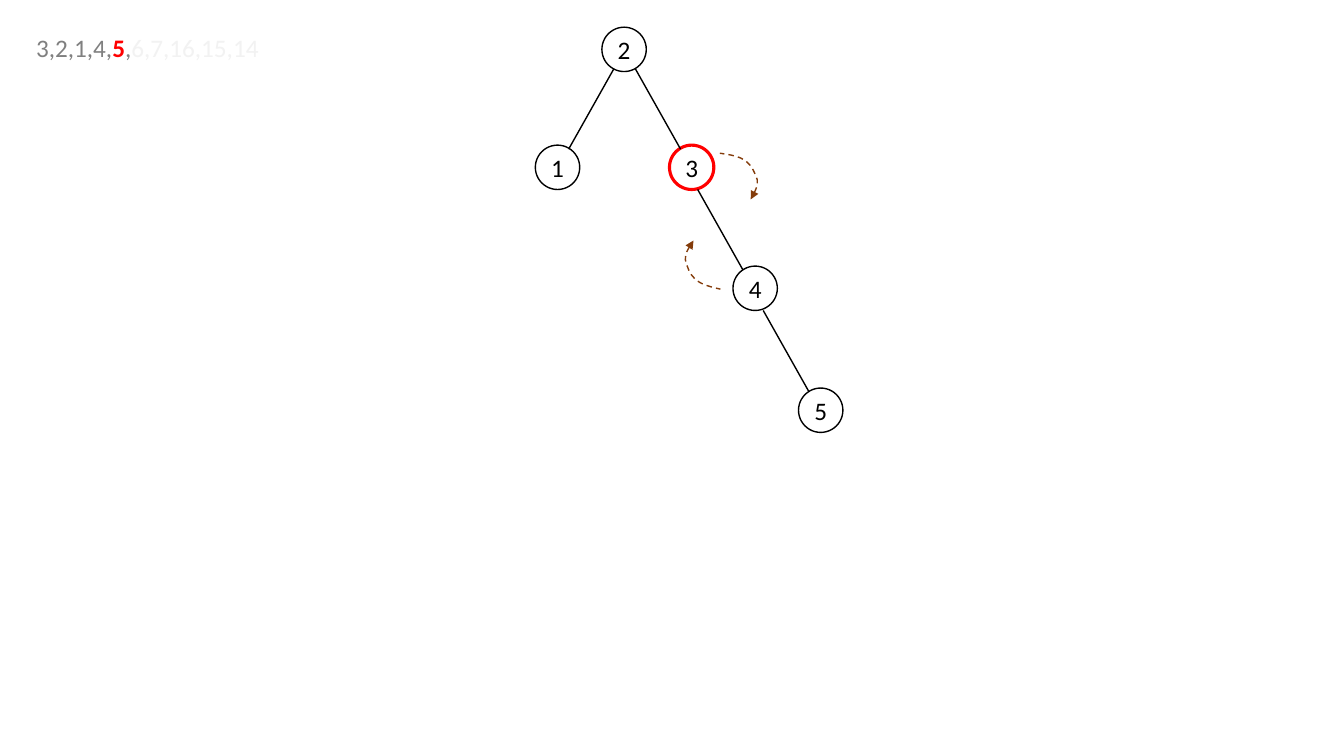
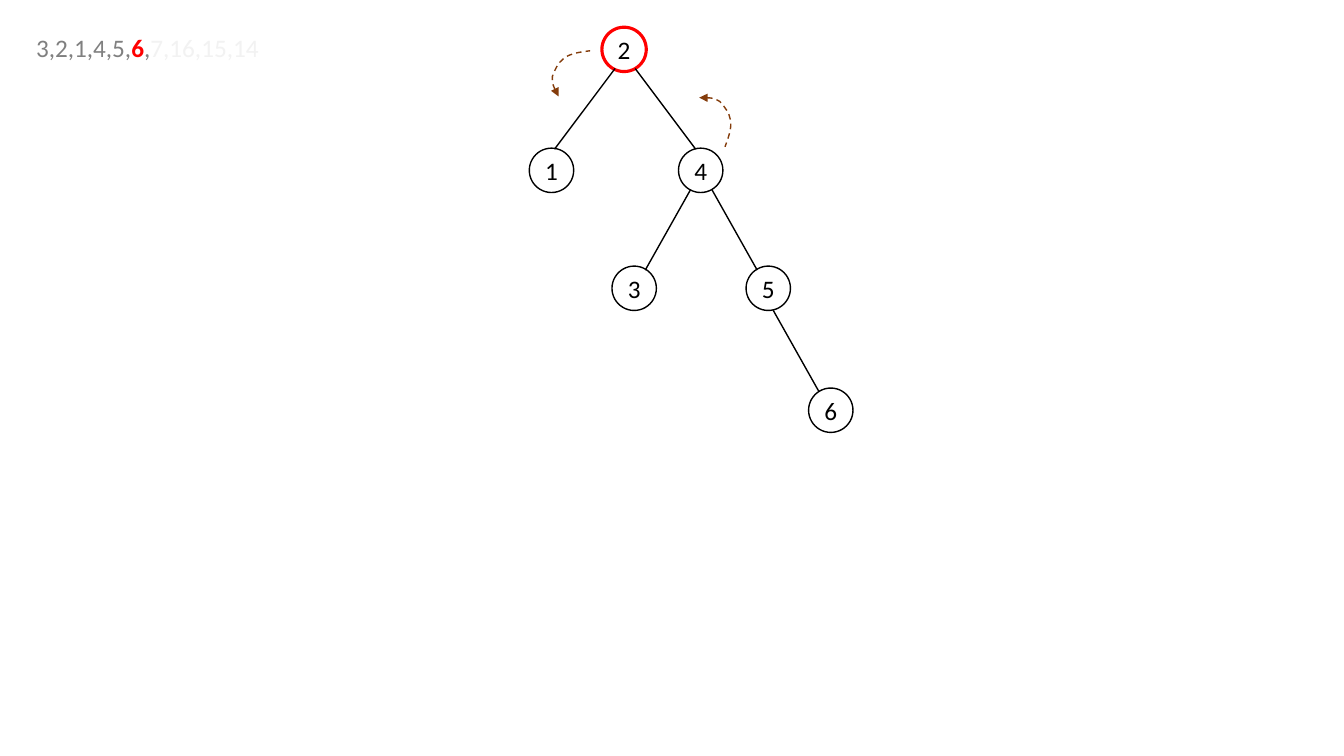
import pptx
import pptx.util
import pptx.dml.color
import pptx.enum.dml
import pptx.enum.shapes
import pptx.enum.text
import pptx.oxml.ns
import pptx.oxml.xmlchemy

inch = pptx.util.Inches
qn = pptx.oxml.ns.qn
make = pptx.oxml.xmlchemy.OxmlElement

WIDE, HIGH = 13.33, 7.5
FONT, SIZE = "Calibri", 18
INK, PAPER, RED = "000000", "FFFFFF", "FF0000"
GREY, PALE, BROWN = "808080", "F2F2F2", "843C0B"

KEYS = [3, 2, 1, 4, 5, 6, 7, 16, 15, 14]
LIST_BOX = (0.26, 0.27, 2.53, 0.4)
TREE = (5.25, 0.27)             # left and top of the tree region
NODE = 0.44                     # diameter of a node
ROW, DROP, FALL = 1.2, 0.41, 0.8    # level pitch, first edge top, edge height

# Bezier points of a turning arrow, in hundredths of an inch; head at the first
TURN = [(0, 0), (3, 7), (6, 13), (12, 17), (18, 19),
        (26, 21), (33, 19), (41, 17), (48, 10), (55, 3)]
TURN_W = 55

# node: key, x, y, edge (start x, level, run) or None
# turn: x, y, angle, mirrored
STEPS = [
    {"new": 5, "pivot": 3,
     "nodes": [(2, 0.72, 0, None),
               (3, 1.39, 1.17, (1.05, 0, 0.45)),
               (1, 0.06, 1.17, (0.84, 0, -0.45)),
               (4, 2.02, 2.37, (1.67, 1, 0.45)),
               (5, 2.67, 3.58, (2.32, 2, 0.45))],
     "turns": [(1.41, 2.3, 58, False), (1.84, 1.32, 233.1, False)]},
    {"new": 6, "pivot": 2,
     "nodes": [(2, 0.72, 0, None),
               (4, 1.48, 1.2, (1.05, 0, 0.6)),
               (1, 0, 1.2, (0.85, 0, -0.6)),
               (5, 2.15, 2.37, (1.81, 1, 0.45)),
               (3, 0.82, 2.37, (1.6, 1, -0.45)),
               (6, 2.77, 3.58, (2.42, 2, 0.45))],
     "turns": [(1.62, 0.8, 245.5, True), (0.1, 0.3, 127.8, True)]},
]


def rgb(code):
    return pptx.dml.color.RGBColor.from_string(code)


def stroke(shape, color, width):
    shape.line.color.rgb = rgb(color)
    shape.line.width = pptx.util.Pt(width)


def write(para, text, color, bold=False):
    run = para.add_run()
    run.text = text
    run.font.name = FONT
    run.font.size = pptx.util.Pt(SIZE)
    run.font.bold = bold
    run.font.color.rgb = rgb(color)


def add_list(slide, box, new):
    """Key list: done keys grey, the new key red, waiting keys pale."""
    frame = slide.shapes.add_textbox(*map(inch, box)).text_frame
    frame.word_wrap = True
    frame.auto_size = pptx.enum.text.MSO_AUTO_SIZE.SHAPE_TO_FIT_TEXT
    at = KEYS.index(new)
    para = frame.paragraphs[0]
    write(para, "".join(f"{key}," for key in KEYS[:at]), GREY)
    write(para, str(new), RED, True)
    write(para, ",", GREY)
    write(para, ",".join(map(str, KEYS[at + 1:])), PALE)


def add_node(shapes, x, y, key, pivot):
    node = shapes.add_shape(pptx.enum.shapes.MSO_SHAPE.OVAL,
                            inch(x), inch(y), inch(NODE), inch(NODE))
    node.shadow.inherit = False
    node.fill.solid()
    node.fill.fore_color.rgb = rgb(PAPER)
    stroke(node, *((RED, 2.25) if pivot else (INK, 1)))
    frame = node.text_frame
    frame.margin_left = frame.margin_right = 0
    frame.margin_top = frame.margin_bottom = 0
    frame.vertical_anchor = pptx.enum.text.MSO_ANCHOR.MIDDLE
    para = frame.paragraphs[0]
    para.alignment = pptx.enum.text.PP_ALIGN.CENTER
    write(para, str(key), INK)


def add_edge(shapes, x, y, run):
    edge = shapes.add_connector(pptx.enum.shapes.MSO_CONNECTOR.STRAIGHT,
                                inch(x), inch(y), inch(x + run), inch(y + FALL))
    stroke(edge, INK, 1)
    edge.element.spPr.append(make("a:effectLst"))


def bend(shape):
    """Turn each three straight segments of a freeform into one curve."""
    track = next(shape.element.iter(qn("a:path")))
    lines = track.findall(qn("a:lnTo"))
    for i in range(0, len(lines), 3):
        curve = make("a:cubicBezTo")
        for line in lines[i:i + 3]:
            curve.append(line[0])
            track.remove(line)
        track.append(curve)


def add_turn(slide, x, y, angle, mirror):
    """Dashed arrow that shows the way a node rotates."""
    dots = [(TURN_W - a if mirror else a, b) for a, b in TURN]
    form = slide.shapes.build_freeform(*dots[0], scale=inch(0.01))
    form.add_line_segments(dots[1:], close=False)
    turn = form.convert_to_shape(inch(x), inch(y))
    bend(turn)
    turn.rotation = angle
    turn.shadow.inherit = False
    turn.fill.background()
    stroke(turn, BROWN, 1)
    turn.line.dash_style = pptx.enum.dml.MSO_LINE.DASH
    head = make("a:headEnd")
    head.set("type", "triangle")
    turn.element.spPr.find(qn("a:ln")).append(head)


def add_tree(slide, box, step):
    left, top = box
    for key, x, y, edge in step["nodes"]:
        shapes = slide.shapes
        if edge:
            shapes = shapes.add_group_shape().shapes
        add_node(shapes, left + x, top + y, key, key == step["pivot"])
        if edge:
            start, level, run = edge
            add_edge(shapes, left + start, top + DROP + level * ROW, run)
    for x, y, angle, mirror in step["turns"]:
        add_turn(slide, left + x, top + y, angle, mirror)


def main():
    deck = pptx.Presentation()
    deck.slide_width, deck.slide_height = inch(WIDE), inch(HIGH)
    for step in STEPS:
        slide = deck.slides.add_slide(deck.slide_layouts[6])
        add_list(slide, LIST_BOX, step["new"])
        add_tree(slide, TREE, step)
    deck.save("out.pptx")


if __name__ == "__main__":
    main()
